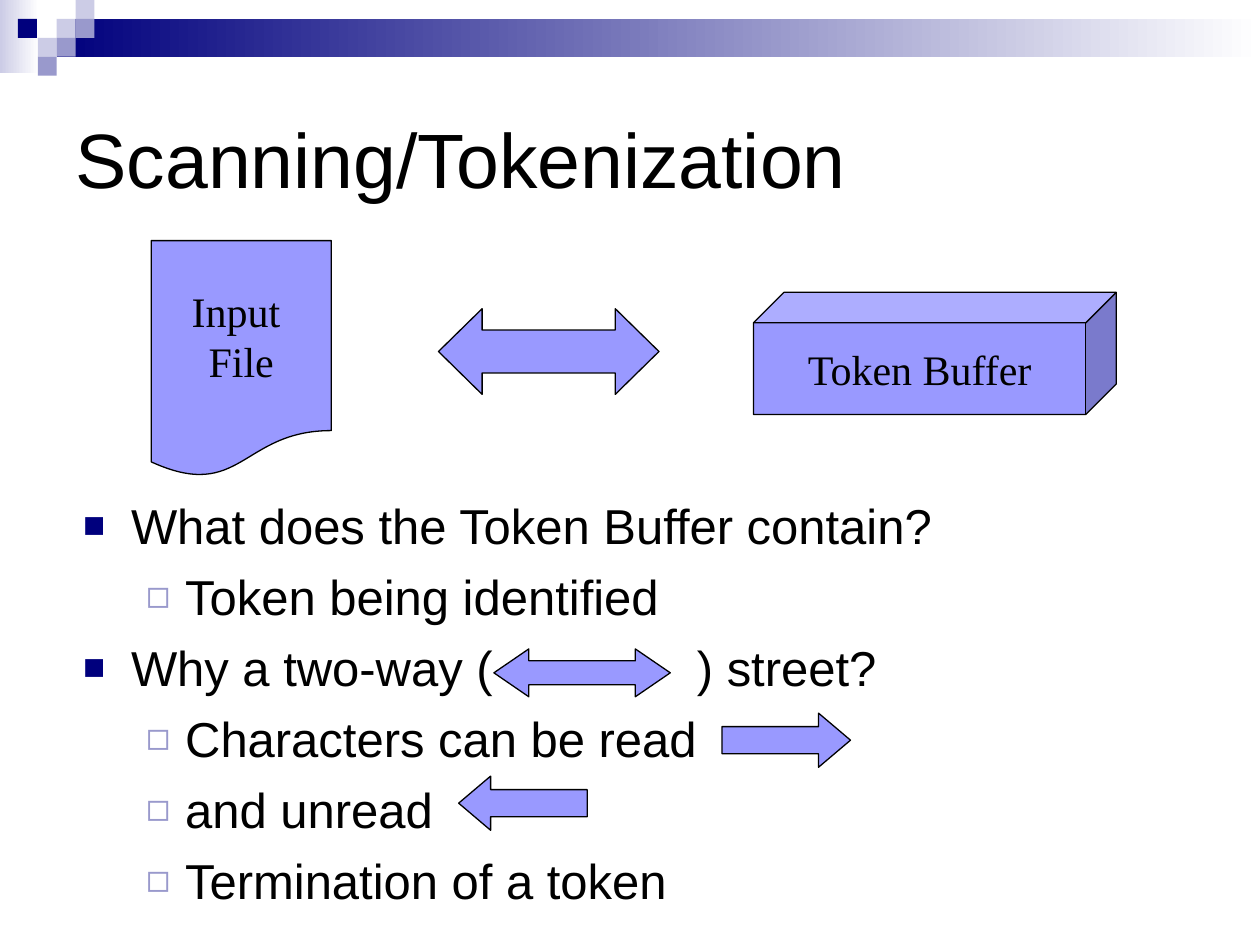
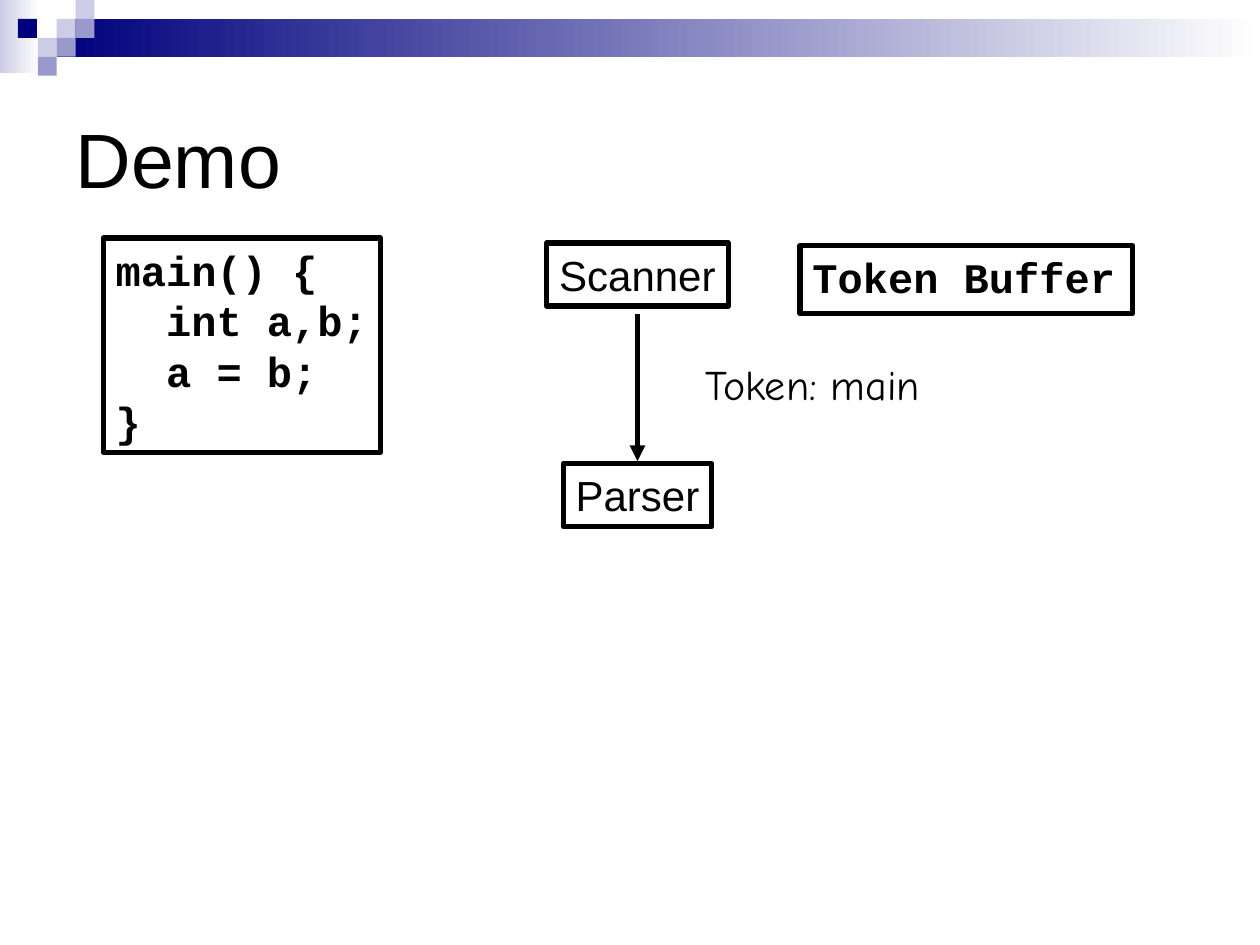
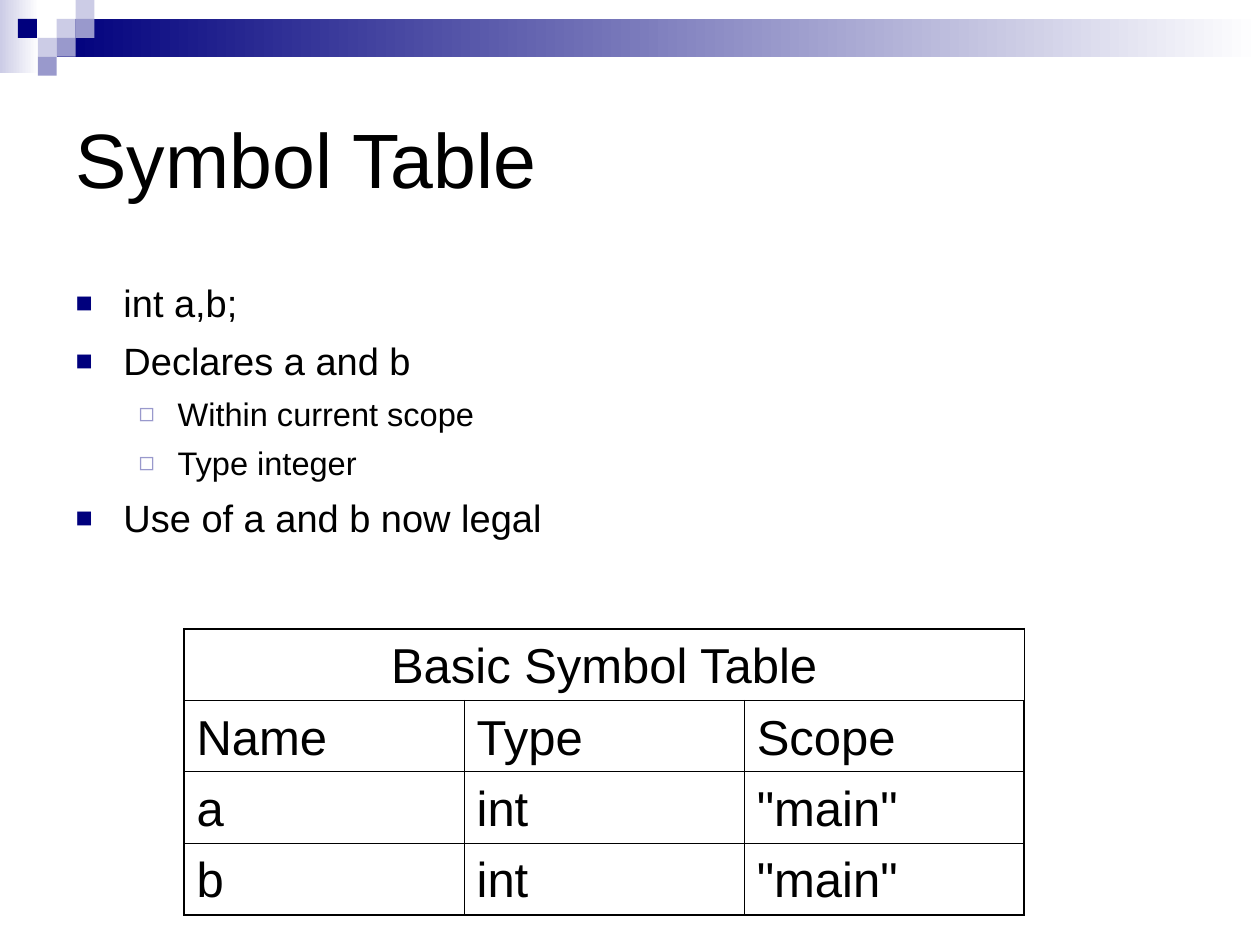
from lxml import etree
from pptx import Presentation
from pptx.dml.color import RGBColor
from pptx.enum.shapes import MSO_CONNECTOR, MSO_SHAPE
from pptx.enum.text import MSO_ANCHOR, MSO_AUTO_SIZE, PP_ALIGN
from pptx.oxml.ns import qn
from pptx.util import Inches, Pt

RECT, DOCUMENT, CUBE = MSO_SHAPE.RECTANGLE, MSO_SHAPE.FLOWCHART_DOCUMENT, MSO_SHAPE.CUBE
TWO_WAY, FORWARD, BACK = MSO_SHAPE.LEFT_RIGHT_ARROW, MSO_SHAPE.RIGHT_ARROW, MSO_SHAPE.LEFT_ARROW
STRAIGHT = MSO_CONNECTOR.STRAIGHT
LEFT, CENTER = PP_ALIGN.LEFT, PP_ALIGN.CENTER
TOP, MIDDLE = MSO_ANCHOR.TOP, MSO_ANCHOR.MIDDLE
NO_FIT = MSO_AUTO_SIZE.NONE

COLORS = {"ink": "000000", "white": "FFFFFF", "navy": "00007D", "pale": "CCCCE6",
          "lilac": "9999CC", "figure": "9999FF"}
SANS, SERIF, MONO, HAND = "Arial", "Times New Roman", "Courier New", "Comic Neue"
TITLE_AT = (0.5, 0.5, 9, 1.5)
LINE_FACTOR = 1.2

BANDS = [((0, 0, 0.31, 0.58), "pale"), ((0.45, 0.15, 9.55, 0.3), "navy")]
TILE = 0.15
TILES = [(3, 1, "pale"), (4, 0, "pale"), (4, 1, "lilac"), (2, 2, "pale"),
         (0.95, 1, "navy"), (3, 2, "lilac"), (2, 3, "lilac")]

BULLETS = [("■", "navy", "75000", 0.38, -0.38), ("◻", "lilac", "80000", 0.81, -0.31)]
GAP = " "
GAP_SPACING = "10900"

SCANNING_FIGURES = [
    (DOCUMENT, (1.2, 1.91, 1.43, 1.88), [], "Input \nFile"),
    (CUBE, (5.98, 2.32, 2.88, 0.97), [0.25], "Token Buffer"),
    (TWO_WAY, (3.48, 2.45, 1.75, 0.68), [0.5, 0.51], ""),
    (TWO_WAY, (3.92, 5.15, 1.4, 0.38), [0.5, 0.73], ""),
    (FORWARD, (5.73, 5.66, 1.02, 0.43), [0.5, 0.59], ""),
    (BACK, (3.64, 6.16, 1.02, 0.43), [0.5, 0.59], ""),
]
SCANNING_POINTS = [
    (0, ["What does the Token Buffer contain?"]),
    (1, ["Token being identified"]),
    (0, ["Why a two-way (", GAP, ") street?"]),
    (1, ["Characters can be read"]),
    (1, ["and unread"]),
    (1, ["Termination of a token"]),
]

DEMO_BOXES = [
    ("main() {\n  int a,b;\n  a = b;\n}", (0.82, 1.89, 2.2, 1.7), MONO),
    ("Parser", (4.47, 3.68, 1.18, 0.5), SANS),
    ("Scanner", (4.34, 1.93, 1.44, 0.5), SANS),
    ("Token Buffer", (6.35, 1.95, 2.64, 0.54), MONO),
]
TOKEN_NOTE = ("Token: main", (5.48, 2.8, 1.94, 0.5))
SCANNER_TO_PARSER = (5.06, 2.49, 5.06, 3.66)

SYMBOL_POINTS = [
    (0, ["int a,b;"]),
    (0, ["Declares a and b"]),
    (1, ["Within current scope"]),
    (1, ["Type integer"]),
    (0, ["Use of a and b now legal"]),
]
SYMBOL_ROWS = [
    ["Basic Symbol Table", "", ""],
    ["Name", "Type", "Scope"],
    ["a", "int", '"main"'],
    ["b", "int", '"main"'],
]
SYMBOL_AT = (1.46, 4.99, 6.67, 2.27)
OUTER, INNER = 1.08, 0.45


def rgb(name):
    return RGBColor.from_string(COLORS[name])


def inches(lengths):
    return [Inches(length) for length in lengths]


def style(paragraph, size, font, bold=False, align=LEFT):
    paragraph.alignment = align
    paragraph.line_spacing = Pt(round(size * LINE_FACTOR, 2))
    for run in paragraph.runs:
        run.font.size, run.font.name, run.font.bold = Pt(size), font, bold
        run.font.color.rgb = rgb("ink")


def write(frame, text, size, font, bold=False, align=LEFT, anchor=TOP, wrap=False):
    frame.text = text
    frame.word_wrap, frame.auto_size, frame.vertical_anchor = wrap, NO_FIT, anchor
    for paragraph in frame.paragraphs:
        style(paragraph, size, font, bold, align)


def place(shape, at):
    shape.left, shape.top, shape.width, shape.height = inches(at)


def add_slide(prs, layout, title):
    slide = prs.slides.add_slide(prs.slide_layouts[layout])
    place(slide.shapes.title, TITLE_AT)
    write(slide.shapes.title.text_frame, title, 44, SANS, anchor=MIDDLE, wrap=True)
    return slide


def add_figure(slide, kind, at, fill=None, line=None):
    shape = slide.shapes.add_shape(kind, *inches(at))
    shape.shadow.inherit = False
    if fill:
        shape.fill.solid()
        shape.fill.fore_color.rgb = rgb(fill)
    else:
        shape.fill.background()
    if line:
        shape.line.color.rgb, shape.line.width = rgb("ink"), Pt(line)
    else:
        shape.line.fill.background()
    return shape


def decorate_master(prs, slide):
    header = []
    for at, color in BANDS:
        band = add_figure(slide, RECT, at)
        band.fill.gradient()
        band.fill.gradient_angle = 0
        for stop, shade in zip(band.fill.gradient_stops, (color, "white")):
            stop.color.rgb = rgb(shade)
        for stop, position in zip(band.fill.gradient_stops, (0, 1)):
            stop.position = position
        header.append(band)
    for column, row, color in TILES:
        header.append(add_figure(slide, RECT, (column * TILE, row * TILE, TILE, TILE), color))
    master_tree = prs.slide_master.shapes.element
    for index, part in enumerate(header, start=2):
        master_tree.insert(index, part.element)


def add_bullet(paragraph, level):
    char, color, percent, margin, indent = BULLETS[level]
    paragraph.level = level
    properties = paragraph._p.get_or_add_pPr()
    properties.set("marL", str(Inches(margin)))
    properties.set("indent", str(Inches(indent)))
    tint = etree.SubElement(properties, qn("a:buClr"))
    etree.SubElement(tint, qn("a:srgbClr"), val=COLORS[color])
    etree.SubElement(properties, qn("a:buSzPct"), val=percent)
    etree.SubElement(properties, qn("a:buChar"), char=char)


def fill_body(slide, points, at, sizes, spaces):
    body = slide.placeholders[1]
    place(body, at)
    frame = body.text_frame
    frame.word_wrap, frame.auto_size = True, NO_FIT
    for index, (level, pieces) in enumerate(points):
        paragraph = frame.add_paragraph() if index else frame.paragraphs[0]
        add_bullet(paragraph, level)
        for piece in pieces:
            run = paragraph.add_run()
            run.text = piece
            if piece == GAP:
                run.font._element.set("spc", GAP_SPACING)
        style(paragraph, sizes[level], SANS)
        paragraph.space_before = Pt(spaces[level] if index else 0)


def add_arrow(slide, ends):
    arrow = slide.shapes.add_connector(STRAIGHT, *inches(ends))
    arrow.line.color.rgb, arrow.line.width = rgb("ink"), Pt(3)
    etree.SubElement(arrow.line._get_or_add_ln(), qn("a:tailEnd"), type="triangle")
    etree.SubElement(arrow.element.spPr, qn("a:effectLst"))


def add_border(cell, side, width):
    properties = cell._tc.get_or_add_tcPr()
    edge = etree.SubElement(properties, qn("a:ln" + side), w=str(Pt(width)))
    fill = etree.SubElement(edge, qn("a:solidFill"))
    etree.SubElement(fill, qn("a:srgbClr"), val=COLORS["ink"])


def add_symbol_table(slide):
    rows, columns = len(SYMBOL_ROWS), len(SYMBOL_ROWS[0])
    table = slide.shapes.add_table(rows, columns, *inches(SYMBOL_AT)).table
    table.first_row = table.horz_banding = False
    table.cell(0, 0).merge(table.cell(0, columns - 1))
    for r, row in enumerate(SYMBOL_ROWS):
        for c, text in enumerate(row):
            cell = table.cell(r, c)
            on_edge = {"L": c == 0, "R": c == columns - 1, "T": r == 0, "B": r == rows - 1}
            for side, outside in on_edge.items():
                add_border(cell, side, OUTER if outside else INNER)
            cell.fill.background()
            cell.text_frame.text = text
            style(cell.text_frame.paragraphs[0], 28, SANS, align=LEFT if r else CENTER)


def build_scanning(prs):
    slide = add_slide(prs, 1, "Scanning/Tokenization")
    decorate_master(prs, slide)
    for kind, at, adjustments, label in SCANNING_FIGURES:
        figure = add_figure(slide, kind, at, "figure", 0.75)
        for index, value in enumerate(adjustments):
            figure.adjustments[index] = value
        if label:
            write(figure.text_frame, label, 24, SERIF, align=CENTER, anchor=MIDDLE)
    fill_body(slide, SCANNING_POINTS, (0.56, 3.88, 8.64, 3.34), (28, 28), (7, 7))


def build_demo(prs):
    slide = add_slide(prs, 5, "Demo")
    for text, at, font in DEMO_BOXES:
        box = add_figure(slide, RECT, at, line=3)
        write(box.text_frame, text, 24, font, bold=font == MONO)
    add_arrow(slide, SCANNER_TO_PARSER)
    text, at = TOKEN_NOTE
    note = slide.shapes.add_textbox(*inches(at))
    write(note.text_frame, text, 24, HAND, align=CENTER)


def build_symbols(prs):
    slide = add_slide(prs, 1, "Symbol Table")
    fill_body(slide, SYMBOL_POINTS, (0.5, 2.17, 9, 2.18), (21.7, 18.6), (7, 6))
    add_symbol_table(slide)


def main():
    prs = Presentation()
    prs.slide_width, prs.slide_height = Inches(10), Inches(7.5)
    build_scanning(prs)
    build_demo(prs)
    build_symbols(prs)
    prs.save("out.pptx")


if __name__ == "__main__":
    main()
